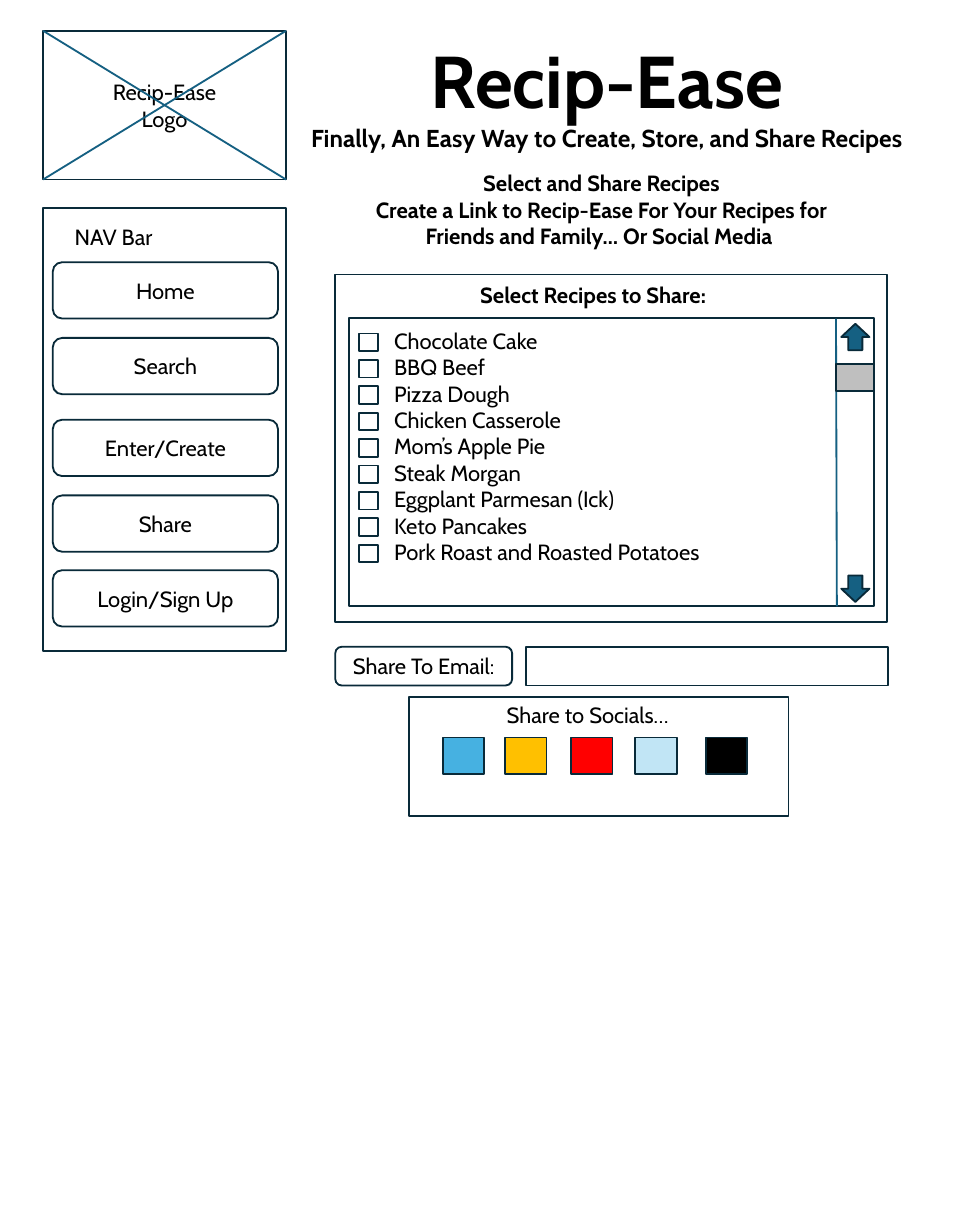
from lxml import etree
from pptx import Presentation
from pptx.dml.color import RGBColor
from pptx.enum.shapes import MSO_CONNECTOR, MSO_SHAPE
from pptx.enum.text import MSO_ANCHOR, MSO_AUTO_SIZE, PP_ALIGN
from pptx.oxml.ns import qn
from pptx.util import Inches, Pt

TITLE_LINES = ["Recip-Ease", "Finally, An Easy Way to Create, Store, and Share Recipes"]
INTRO_LINES = [
    "Select and Share Recipes",
    "Create a Link to Recip-Ease For Your Recipes for Friends and Family… Or Social Media ",
]
LOGO_LINES = ["Recip-Ease", "Logo"]
NAV_BUTTONS = [  # label, top
    ("Home", 2.98),
    ("Search", 3.84),
    ("Enter/Create", 4.77),
    ("Share", 5.63),
    ("Login/Sign Up", 6.48),
]
RECIPES = [
    "Chocolate Cake",
    "BBQ Beef",
    "Pizza Dough",
    "Chicken Casserole",
    "Mom’s Apple Pie",
    "Steak Morgan",
    "Eggplant Parmesan (Ick)",
    "Keto Pancakes",
    "Pork Roast and Roasted Potatoes",
]

BLACK = RGBColor(0x00, 0x00, 0x00)
WHITE = RGBColor(0xFF, 0xFF, 0xFF)
OUTLINE = RGBColor(0x09, 0x2A, 0x39)
TEAL = RGBColor(0x15, 0x60, 0x82)
GRAY = RGBColor(0xBF, 0xBF, 0xBF)
SOCIAL_BUTTONS = [  # left, colour
    (5.03, RGBColor(0x46, 0xB1, 0xE1)),
    (5.74, RGBColor(0xFF, 0xC0, 0x00)),
    (6.49, RGBColor(0xFF, 0x00, 0x00)),
    (7.22, RGBColor(0xC1, 0xE5, 0xF5)),
    (8.02, BLACK),
]

FONT = "Cabin"
LINE_WIDTH = Pt(1.5)
LEFT, CENTER = PP_ALIGN.LEFT, PP_ALIGN.CENTER
TOP, MIDDLE = MSO_ANCHOR.TOP, MSO_ANCHOR.MIDDLE
RECTANGLE, ROUNDED = MSO_SHAPE.RECTANGLE, MSO_SHAPE.ROUNDED_RECTANGLE
UP_ARROW, DOWN_ARROW = MSO_SHAPE.UP_ARROW, MSO_SHAPE.DOWN_ARROW

LOGO_BOX = (0.49, 0.35, 2.76, 1.69)
CHECKBOX_TOP, CHECKBOX_STEP = 3.79, 0.3


def write(shape, lines, alignment, anchor, bold=False):
    frame = shape.text_frame
    frame.word_wrap = True
    frame.auto_size = MSO_AUTO_SIZE.NONE
    frame.vertical_anchor = anchor
    frame.text = "\n".join(lines)
    for paragraph in frame.paragraphs:
        paragraph.alignment = alignment
        for run in paragraph.runs:
            run.font.name = FONT
            run.font.size = Pt(18)
            run.font.bold = bold
            run.font.color.rgb = BLACK


def add_box(slide, kind, box, fill=None, lines=None):
    shape = slide.shapes.add_shape(kind, *map(Inches, box))
    shape.shadow.inherit = False
    if fill is None:
        shape.fill.background()
    else:
        shape.fill.solid()
        shape.fill.fore_color.rgb = fill
    shape.line.color.rgb = OUTLINE
    shape.line.width = LINE_WIDTH
    if lines:
        write(shape, lines, CENTER, MIDDLE)


def add_text(slide, box, lines, alignment=LEFT, bold=False):
    write(slide.shapes.add_textbox(*map(Inches, box)), lines, alignment, TOP, bold)


def add_line(slide, *ends):
    connector = slide.shapes.add_connector(MSO_CONNECTOR.STRAIGHT, *map(Inches, ends))
    connector.line.color.rgb = TEAL
    connector.line.width = LINE_WIDTH
    etree.SubElement(connector._element.spPr, qn("a:effectLst"))


def add_title(slide):
    title = slide.shapes.title
    title.left, title.top = Inches(3.25), Inches(0.35)
    title.width, title.height = Inches(7.29), Inches(1.45)
    write(title, TITLE_LINES, CENTER, TOP, bold=True)
    for paragraph, size in zip(title.text_frame.paragraphs, (60, 20)):
        paragraph.runs[0].font.size = Pt(size)


def add_sidebar(slide):
    left, top, width, height = LOGO_BOX
    right, bottom = left + width, top + height
    add_box(slide, RECTANGLE, LOGO_BOX, lines=LOGO_LINES)
    add_line(slide, left, top, right, bottom)
    add_line(slide, right, top, left, bottom)

    add_box(slide, RECTANGLE, (left, 2.36, width, 5.04))
    add_text(slide, (0.75, 2.49, 2.24, 0.41), ["NAV Bar"])
    for label, button_top in NAV_BUTTONS:
        add_box(slide, ROUNDED, (0.6, button_top, 2.56, 0.64), lines=[label])


def add_recipe_picker(slide):
    add_box(slide, RECTANGLE, (3.81, 3.12, 6.27, 3.95))
    add_text(slide, (3.97, 3.15, 5.54, 0.4), ["Select Recipes to Share:"], CENTER, bold=True)
    add_text(slide, (4.38, 3.67, 5.55, 2.83), RECIPES)
    add_box(slide, RECTANGLE, (3.97, 3.61, 5.96, 3.28))
    for row in range(len(RECIPES)):
        add_box(slide, RECTANGLE, (4.08, CHECKBOX_TOP + row * CHECKBOX_STEP, 0.22, 0.2), WHITE)

    add_box(slide, DOWN_ARROW, (9.56, 6.54, 0.32, 0.3), TEAL)
    add_box(slide, UP_ARROW, (9.56, 3.68, 0.32, 0.3), TEAL)
    add_line(slide, 9.5, 3.62, 9.51, 6.89)
    add_box(slide, RECTANGLE, (9.5, 4.14, 0.43, 0.3), GRAY)


def add_sharing(slide):
    add_box(slide, ROUNDED, (3.81, 7.35, 2.01, 0.44), lines=["Share To Email:"])
    add_box(slide, RECTANGLE, (5.98, 7.35, 4.11, 0.44), WHITE)
    add_box(slide, RECTANGLE, (4.65, 7.92, 4.31, 1.35), WHITE)
    add_text(slide, (5.66, 7.92, 2.45, 0.4), ["Share to Socials…"])
    for left, color in SOCIAL_BUTTONS:
        add_box(slide, RECTANGLE, (left, 8.38, 0.47, 0.42), color)


def main():
    presentation = Presentation()
    presentation.slide_width, presentation.slide_height = Inches(11), Inches(14)
    slide = presentation.slides.add_slide(presentation.slide_layouts[5])
    add_title(slide)
    add_sidebar(slide)
    add_text(slide, (3.97, 1.88, 5.73, 1.01), INTRO_LINES, CENTER, bold=True)
    add_recipe_picker(slide)
    add_sharing(slide)
    presentation.save("out.pptx")


if __name__ == "__main__":
    main()
